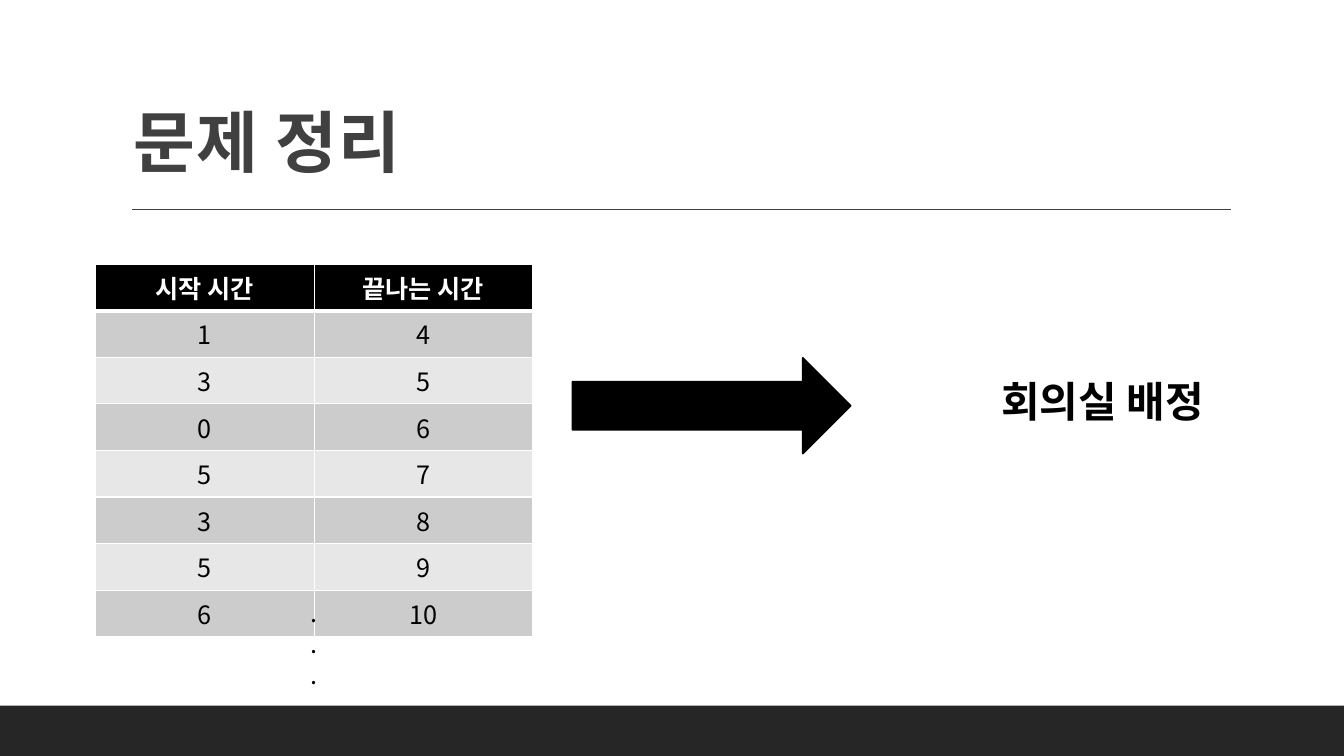
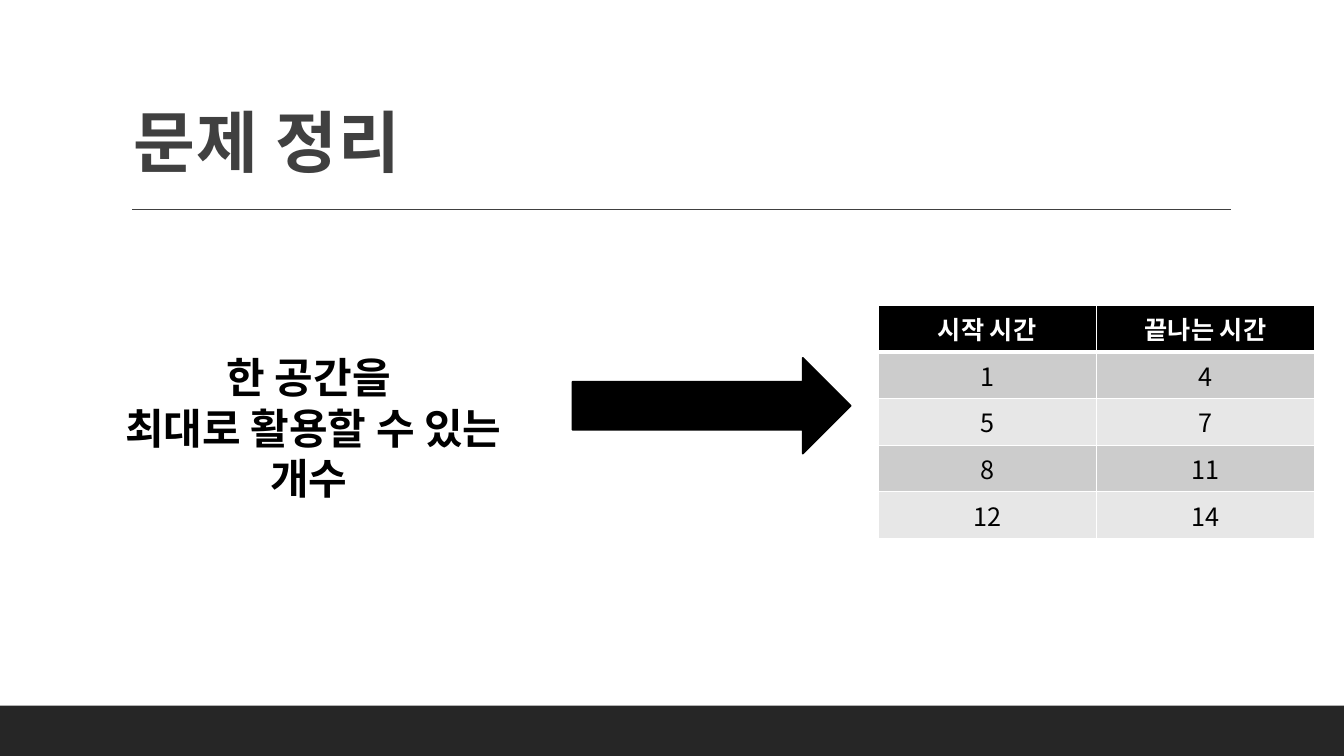
from dataclasses import dataclass

from lxml import etree
from pptx import Presentation
from pptx.dml.color import RGBColor
from pptx.enum.shapes import MSO_CONNECTOR, MSO_SHAPE
from pptx.enum.text import MSO_ANCHOR, PP_ALIGN
from pptx.oxml.ns import qn
from pptx.util import Inches, Pt

CENTER, LEFT = PP_ALIGN.CENTER, PP_ALIGN.LEFT
TOP, BOTTOM = MSO_ANCHOR.TOP, MSO_ANCHOR.BOTTOM
RECTANGLE, RIGHT_ARROW = MSO_SHAPE.RECTANGLE, MSO_SHAPE.RIGHT_ARROW
STRAIGHT = MSO_CONNECTOR.STRAIGHT

# The page is a grid of square units
COLUMNS, ROWS = 80, 45
UNIT = Inches(7.5) // ROWS


@dataclass(frozen=True)
class Theme:
    font: str = "Noto Sans CJK KR"
    band: str = "262626"
    title: str = "404040"
    ink: str = "000000"
    paper: str = "FFFFFF"
    stripes: tuple = ("CCCCCC", "E7E7E7")
    title_size: int = 48
    label_size: int = 30
    body_size: int = 18
    thin: float = 1
    outline: float = 1.25
    thick: float = 3


THEME = Theme()

TITLE_BOX = (7.2, 1.86, 66, 9.54)
BAND_BOX = (0, 42, COLUMNS, 3)
RULE_BOX = (7.86, 12.48, 65.4, 0)
ARROW_BOX = (34.08, 21.3, 16.56, 5.7)
TABLE_WIDTH, ROW_HEIGHT = 26, 2.43

HEADINGS = ("시작 시간", "끝나는 시간")
MEETINGS = [(1, 4), (3, 5), (0, 6), (5, 7), (3, 8), (5, 9), (6, 10)]
CHOSEN = [(1, 4), (5, 7), (8, 11), (12, 14)]


def units(*values):
    return [round(value * UNIT) for value in values]


def color(code):
    return RGBColor.from_string(code)


def write(frame, text, size=THEME.body_size, ink=THEME.ink, bold=False,
          align=CENTER, anchor=TOP, leading=None, tracking=None):
    """Fill a text frame, one paragraph for each line of the text."""
    frame.word_wrap = True
    frame.vertical_anchor = anchor
    for index, line in enumerate(text.split("\n")):
        para = frame.add_paragraph() if index else frame.paragraphs[0]
        para.alignment = align
        if leading:
            para.line_spacing = leading
        span = para.add_run()
        span.text = line
        span.font.name = THEME.font
        span.font.size = Pt(size)
        span.font.bold = bold
        span.font.color.rgb = color(ink)
        properties = span._r.get_or_add_rPr()
        etree.SubElement(properties, qn("a:ea"), typeface=THEME.font)
        if tracking:
            properties.set("spc", str(tracking))


def add_solid(page, kind, box, fill, outline=None):
    shape = page.shapes.add_shape(kind, *units(*box))
    shape.shadow.inherit = False
    shape.fill.solid()
    shape.fill.fore_color.rgb = color(fill)
    if outline:
        shape.line.color.rgb = color(fill)
        shape.line.width = Pt(outline)
    else:
        shape.line.fill.background()
    return shape


def add_label(page, text, box, **style):
    label = page.shapes.add_textbox(*units(*box))
    write(label.text_frame, text, **style)


def add_headline(page, text):
    title = page.shapes.title
    title.left, title.top, title.width, title.height = units(*TITLE_BOX)
    frame = title.text_frame
    frame.margin_left = frame.margin_right = frame.margin_top = Inches(0.12)
    frame.margin_bottom = Inches(0.1)
    write(frame, text, size=THEME.title_size, ink=THEME.title, bold=True,
          align=LEFT, anchor=BOTTOM, leading=1.05, tracking=100)


def add_border(cell, side, width):
    line = etree.SubElement(cell._tc.get_or_add_tcPr(), qn("a:" + side),
                            w=str(Pt(width)))
    fill = etree.SubElement(line, qn("a:solidFill"))
    etree.SubElement(fill, qn("a:srgbClr"), val=THEME.paper)


def add_schedule(page, times, left, top):
    """Table of start and end times below a dark heading row."""
    lines = [HEADINGS, *times]
    box = (left, top, TABLE_WIDTH, ROW_HEIGHT * len(lines))
    table = page.shapes.add_table(len(lines), len(HEADINGS), *units(*box)).table
    table.horz_banding = False
    for row, values in enumerate(lines):
        heading = row == 0
        for column, value in enumerate(values):
            cell = table.cell(row, column)
            # Borders come before the fill in the cell's properties
            widths = {"lnL": THEME.thin, "lnR": THEME.thin,
                      "lnT": THEME.thick if row == 1 else THEME.thin,
                      "lnB": THEME.thick if heading else THEME.thin}
            for side, width in widths.items():
                add_border(cell, side, width)
            cell.fill.solid()
            cell.fill.fore_color.rgb = color(
                THEME.ink if heading else THEME.stripes[(row - 1) % 2])
            write(cell.text_frame, str(value), bold=heading,
                  ink=THEME.paper if heading else THEME.ink)


def decorate_layout(layout, page):
    """Make the band and the title rule, then move them to the layout."""
    band = add_solid(page, RECTANGLE, BAND_BOX, THEME.band)
    left, top, width, height = units(*RULE_BOX)
    rule = page.shapes.add_connector(STRAIGHT, left, top,
                                     left + width, top + height)
    rule.line.color.rgb = color(THEME.title)
    rule.line.width = Pt(THEME.thin)
    etree.SubElement(rule.element.spPr, qn("a:effectLst"))
    for part in (band, rule):
        layout.shapes.element.append(part.element)


def add_step(page, times, table_at, label, label_box):
    """A title, a table and a label, joined by the arrow."""
    add_headline(page, "문제 정리")
    add_schedule(page, times, *table_at)
    add_solid(page, RIGHT_ARROW, ARROW_BOX, THEME.ink, THEME.outline)
    add_label(page, label, label_box, size=THEME.label_size, bold=True,
              leading=Pt(36))


def main():
    deck = Presentation()
    deck.slide_width, deck.slide_height = units(COLUMNS, ROWS)
    layout = deck.slide_layouts[5]
    problem, answer = [deck.slides.add_slide(layout) for _ in range(2)]
    decorate_layout(layout, problem)

    # All meetings, cut short by dots
    add_step(problem, MEETINGS, (5.7, 15.72),
             "회의실 배정", (54.9, 22.08, 21.48, 3.66))
    add_label(problem, ".\n.\n.", (17.16, 35.22, 3.06, 6.06), leading=Pt(22))

    # The meetings that fit in one room
    add_step(answer, CHOSEN, (52.26, 18.18),
             "한 공간을 \n최대로 활용할 수 있는 개수 ", (4.98, 20.64, 27.36, 9.72))

    deck.save("out.pptx")


if __name__ == "__main__":
    main()
